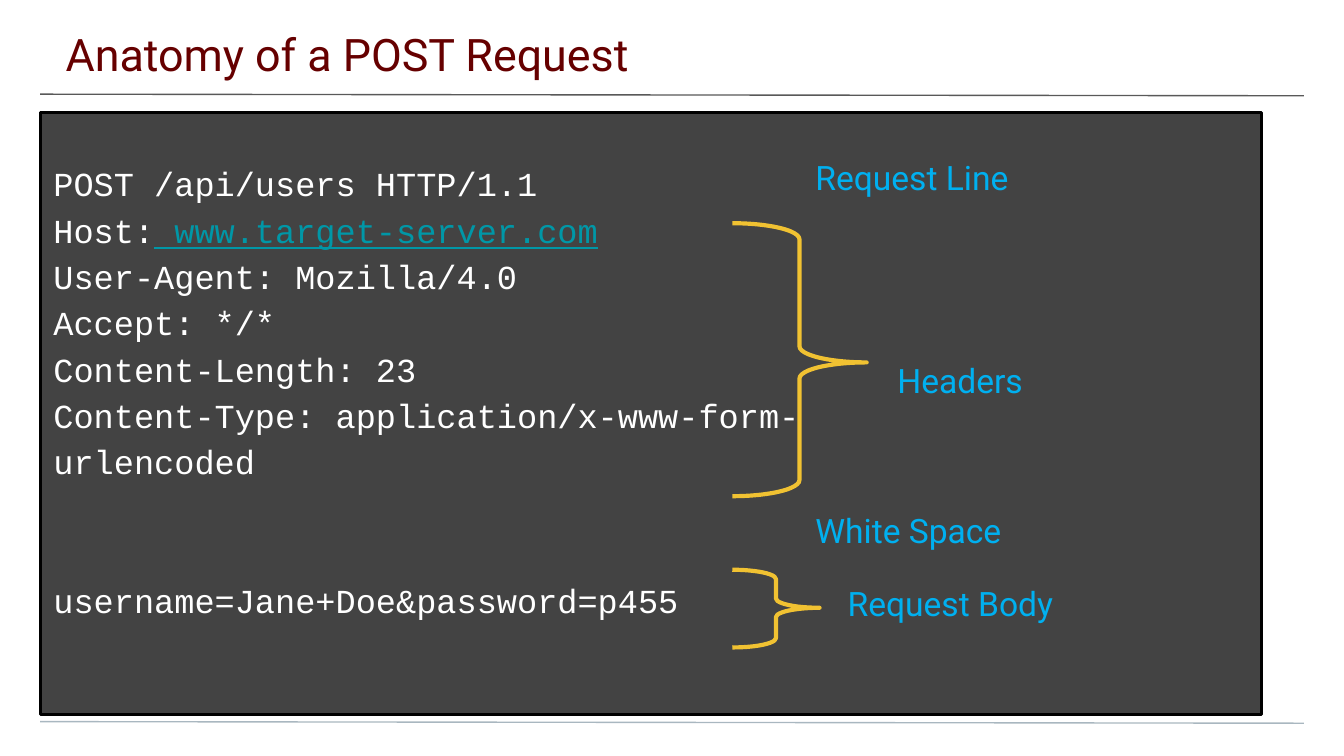
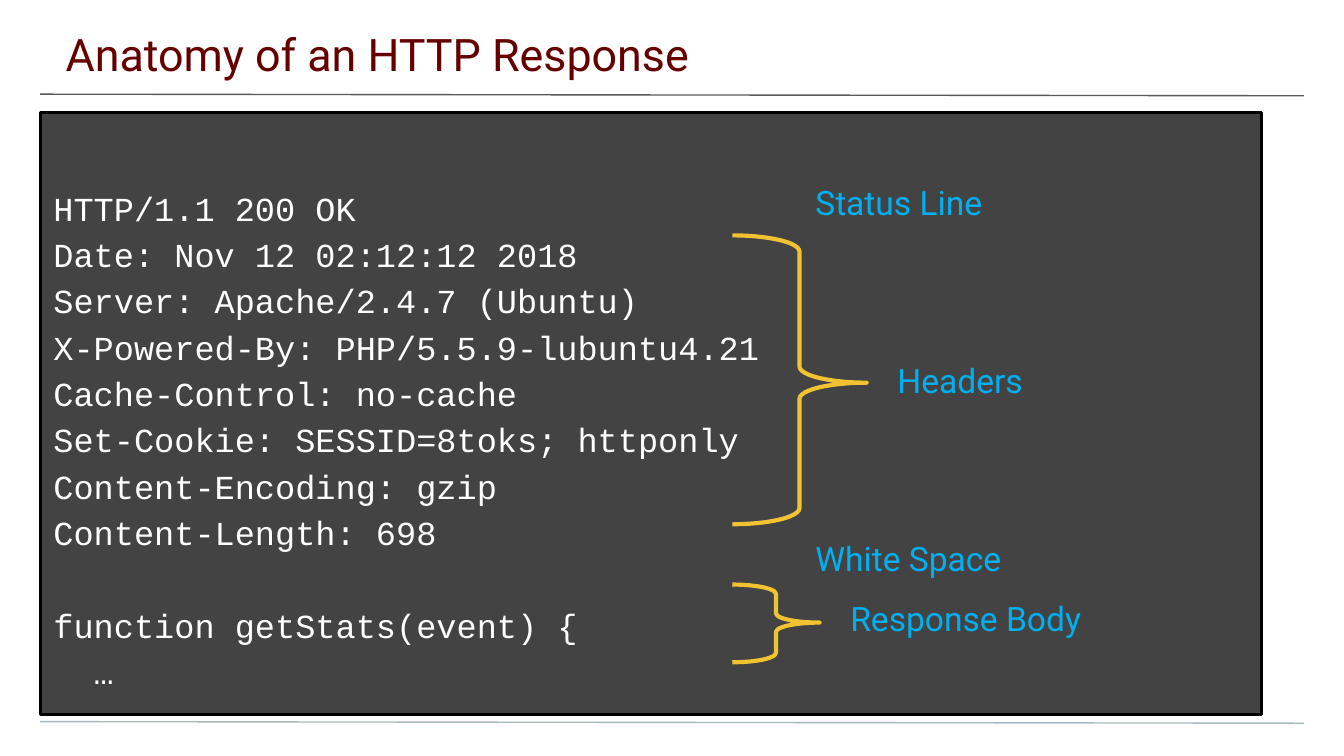
from dataclasses import dataclass

from lxml import etree
from pptx import Presentation
from pptx import util as u
from pptx.dml.color import RGBColor
from pptx.enum import shapes, text
from pptx.oxml import ns


@dataclass(frozen=True)
class Theme:
    title: str = "660000"
    panel: str = "434343"
    panel_edge: str = "000000"
    code: str = "FFFFFF"
    link: str = "0097A7"
    label: str = "00B0F0"
    brace: str = "F1C232"
    top_rule: str = "595959"
    bottom_rule: str = "A9B7C0"
    sans: str = "Roboto"
    mono: str = "Courier New"
    title_size: float = 24
    text_size: float = 18
    code_spacing: float = 1.15
    blank_line: float = 24.8


@dataclass(frozen=True)
class Message:
    """One HTTP message; tops and heights are in centimetres."""
    title: str
    lines: tuple
    code_top: float
    code_height: float
    first_label: str
    headers_top: float
    headers_height: float
    body_top: float
    body_label: str
    body_label_left: float


THEME = Theme()
LINK = " www.target-server.com"
LABEL_WIDTH = 8.46

REQUEST = Message(
    title="Anatomy of a POST Request",
    lines=("POST /api/users HTTP/1.1",
           "Host:" + LINK,
           "User-Agent: Mozilla/4.0",
           "Accept: */*",
           "Content-Length: 23",
           "Content-Type: application/x-www-form-urlencoded",
           "",
           "",
           "username=Jane+Doe&password=p455"),
    code_top=2.72, code_height=9.07, first_label="Request Line",
    headers_top=4.22, headers_height=5.16,
    body_top=10.77, body_label="Request Body", body_label_left=15.77)

RESPONSE = Message(
    title="Anatomy of an HTTP Response",
    lines=("HTTP/1.1 200 OK",
           "Date: Nov 12 02:12:12 2018",
           "Server: Apache/2.4.7 (Ubuntu)",
           "X-Powered-By: PHP/5.5.9-lubuntu4.21",
           "Cache-Control: no-cache",
           "Set-Cookie: SESSID=8toks; httponly",
           "Content-Encoding: gzip",
           "Content-Length: 698",
           "",
           "function getStats(event) {",
           "  …"),
    code_top=3.18, code_height=8.79, first_label="Status Line",
    headers_top=4.45, headers_height=5.46,
    body_top=11.05, body_label="Response Body", body_label_left=15.82)


def lengths(*values):
    return [u.Cm(value) for value in values]


def set_attributes(target, values):
    for name, value in values.items():
        setattr(target, name, value)


def add_run(paragraph, words, color, size, font, underline=False):
    run = paragraph.add_run()
    run.text = words
    set_attributes(run.font, {"name": font, "size": u.Pt(size), "underline": underline})
    run.font.color.rgb = RGBColor.from_string(color)


def set_line(line, color, width):
    line.color.rgb = RGBColor.from_string(color)
    line.width = u.Pt(width)


def add_frame(slide, place, insets):
    """Add a wrapping, top-anchored text box and return its text frame."""
    frame = slide.shapes.add_textbox(*lengths(*place)).text_frame
    left, top, right, bottom = lengths(*insets)
    set_attributes(frame, {
        "word_wrap": True, "vertical_anchor": text.MSO_ANCHOR.TOP,
        "margin_left": left, "margin_top": top,
        "margin_right": right, "margin_bottom": bottom})
    return frame


def add_title(slide, words):
    frame = add_frame(slide, (-0.03, 0, 25.48, 1.47), (1.27, 0.51, 0.76, 0.25))
    add_run(frame.paragraphs[0], words, THEME.title, THEME.title_size, THEME.sans)


def add_rule(slide, top, color):
    rule = slide.shapes.add_connector(
        shapes.MSO_CONNECTOR.STRAIGHT, *lengths(0.76, top, 24.64, top + 0.03))
    set_line(rule.line, color, 0.75)
    etree.SubElement(rule._element.spPr, ns.qn("a:effectLst"))


def add_panel(slide):
    panel = slide.shapes.add_shape(
        shapes.MSO_SHAPE.RECTANGLE, *lengths(0.76, 2.13, 23.09, 11.38))
    panel.shadow.inherit = False
    panel.fill.solid()
    panel.fill.fore_color.rgb = RGBColor.from_string(THEME.panel)
    set_line(panel.line, THEME.panel_edge, 1.5)


def add_code(slide, message):
    """Write the message line by line; empty lines become space before the next."""
    frame = add_frame(slide, (0.76, message.code_top, 14.68, message.code_height),
                      (0.25, 0.25, 0, 0.25))
    paragraph, blanks = frame.paragraphs[0], 0
    for index, line in enumerate(message.lines):
        if not line:
            blanks += 1
            continue
        if index:
            paragraph = frame.add_paragraph()
        paragraph.line_spacing = THEME.code_spacing
        paragraph.space_before = u.Pt(blanks * THEME.blank_line)
        blanks = 0
        plain, link, _ = line.partition(LINK)
        add_run(paragraph, plain, THEME.code, THEME.text_size, THEME.mono)
        if link:
            add_run(paragraph, link, THEME.link, THEME.text_size, THEME.mono, True)


def add_brace(slide, top, width, height, curve, tip):
    brace = slide.shapes.add_shape(
        shapes.MSO_SHAPE.RIGHT_BRACE, *lengths(13.84, top, width, height))
    brace.shadow.inherit = False
    brace.fill.background()
    set_line(brace.line, THEME.brace, 2.25)
    brace.adjustments[0] = curve
    brace.adjustments[1] = tip


def add_label(slide, words, left, top, height=1.47):
    frame = add_frame(slide, (left, top, LABEL_WIDTH, height), (0.25,) * 4)
    add_run(frame.paragraphs[0], words, THEME.label, THEME.text_size, THEME.sans)


def add_message_slide(presentation, message):
    slide = presentation.slides.add_slide(presentation.slide_layouts[6])
    add_rule(slide, 1.78, THEME.top_rule)
    add_rule(slide, 13.64, THEME.bottom_rule)
    add_panel(slide)
    add_title(slide, message.title)
    add_code(slide, message)
    add_brace(slide, message.headers_top, 2.54, message.headers_height, 0.12, 0.51)
    add_label(slide, "Headers", 16.71, 6.55)
    add_label(slide, message.first_label, 15.16, message.code_top)
    add_label(slide, "White Space", 15.16,
              message.headers_top + message.headers_height, 1.12)
    add_brace(slide, message.body_top, 1.65, 1.47, 0.12, 0.49)
    add_label(slide, message.body_label, message.body_label_left, message.body_top)


def main():
    presentation = Presentation()
    set_attributes(presentation, {"slide_width": u.Cm(25.4), "slide_height": u.Cm(14.29)})
    for message in (REQUEST, RESPONSE):
        add_message_slide(presentation, message)
    presentation.save("out.pptx")


if __name__ == "__main__":
    main()
